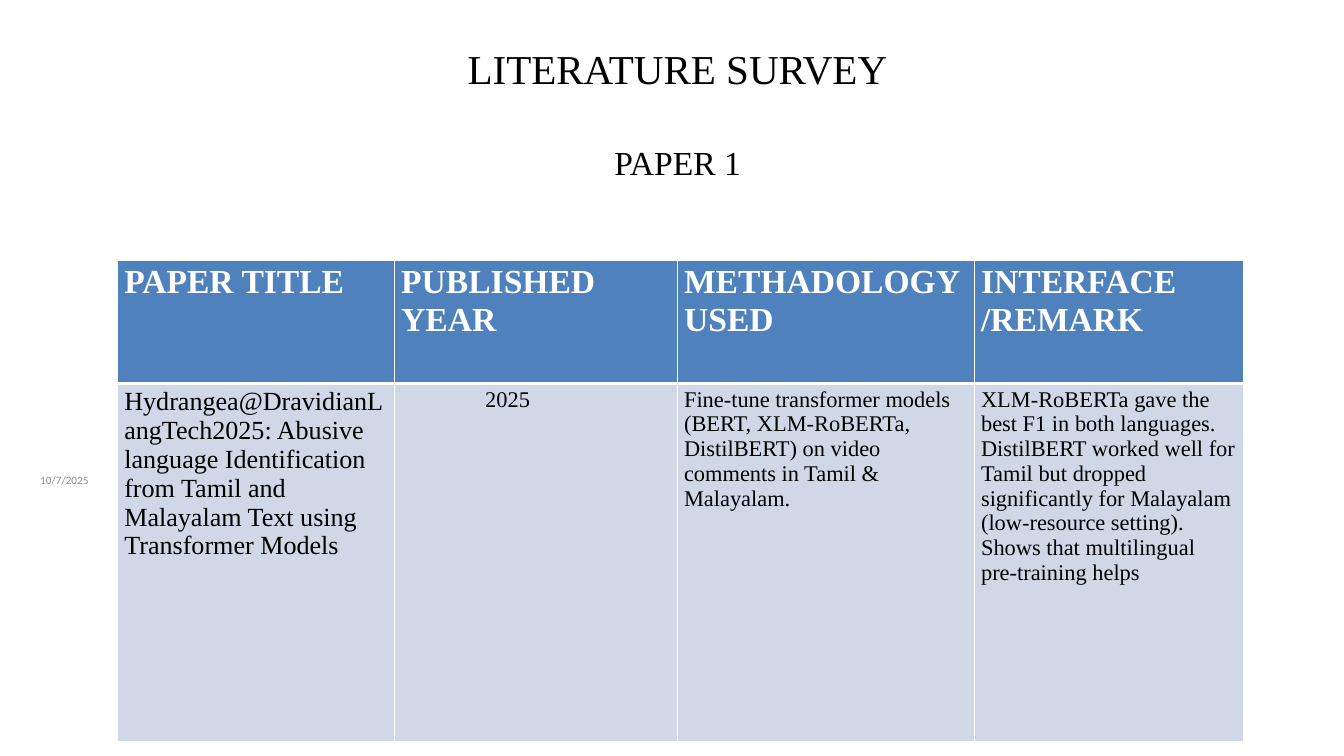
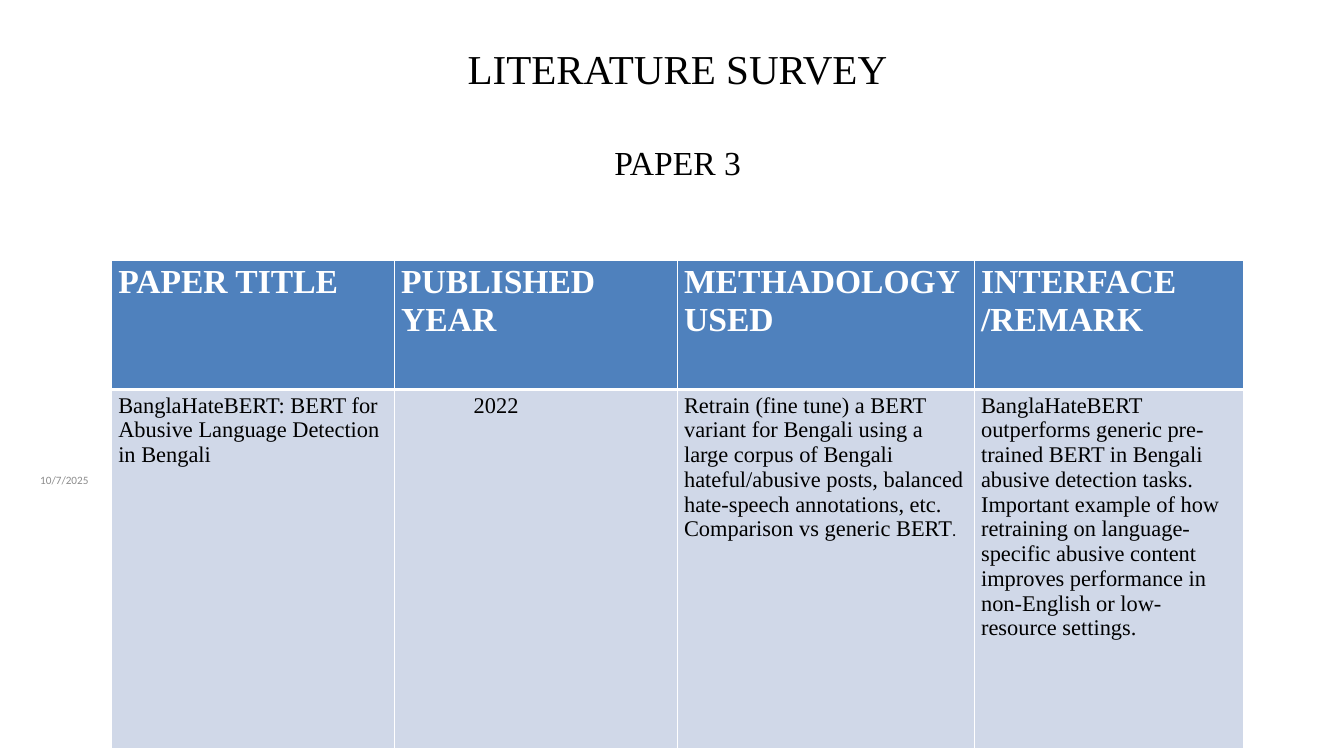
from lxml import etree
from pptx import Presentation
from pptx.dml.color import RGBColor
from pptx.enum import text as t
from pptx.oxml import ns
from pptx.util import Inches, Pt

SERIF, SANS = "Times New Roman", "Calibri"
BLACK, WHITE, GREY = "000000", "FFFFFF", "8C8C8C"
HEADER_FILL, BODY_FILL = "4F81BD", "D0D8E8"

HEADING = "LITERATURE SURVEY"
DATE = "10/7/2025"
COLUMNS = ["PAPER TITLE", "PUBLISHED YEAR", "METHADOLOGY USED", "INTERFACE /REMARK"]
SHARED_WIDTHS = [4.21, 4.42, 4]
TABLE_RIGHT, TABLE_TOP, BODY_HEIGHT = 18.5, 3.88, 5.33

PAPERS = [
    {
        "label": "PAPER 1",
        "title": "Hydrangea@DravidianLangTech2025: Abusive language Identification "
                 "from Tamil and Malayalam Text using Transformer Models",
        "title_size": 28,
        "year": "2025",
        "year_indent": 1.35,
        "method": [("Fine-tune transformer models (BERT, XLM-RoBERTa, DistilBERT) on "
                    "video comments in Tamil & Malayalam.", {})],
        "remark": "XLM-RoBERTa gave the best F1 in both languages. DistilBERT worked well "
                  "for Tamil but dropped significantly for Malayalam (low-resource "
                  "setting). Shows that multilingual pre-training helps",
        "title_width": 4.12,
        "header_height": 1.83,
    },
    {
        "label": "PAPER 3",
        "title": "BanglaHateBERT: BERT for Abusive Language Detection in Bengali",
        "title_size": 24,
        "year": "2022",
        "year_indent": 1.18,
        "method": [("Retrain (fine tune) a BERT variant for Bengali using a large corpus of "
                    "Bengali hateful/abusive posts, balanced hate-speech annotations, etc. "
                    "Comparison vs generic BERT", {}),
                   (".", {"size": 18, "font": SANS})],
        "remark": "BanglaHateBERT outperforms generic pre-trained BERT in Bengali abusive "
                  "detection tasks. Important example of how retraining on "
                  "language-specific abusive content improves performance in non-English "
                  "or low-resource settings.",
        "title_width": 4.21,
        "header_height": 1.92,
    },
]


def rgb(value):
    return RGBColor.from_string(value)


def write(paragraph, words, size=24, font=SERIF, color=BLACK, bold=False):
    run = paragraph.add_run()
    run.text = words
    run.font.size = Pt(size)
    run.font.name = font
    run.font.bold = bold
    run.font.color.rgb = rgb(color)


def add_frame(slide, left, top, width, height, anchor):
    box = slide.shapes.add_textbox(*map(Inches, (left, top, width, height)))
    frame = box.text_frame
    frame.word_wrap = True
    frame.vertical_anchor = anchor
    return frame


def add_heading(slide, label):
    frame = add_frame(slide, 1.67, 0.3, 16.83, 3.32, t.MSO_ANCHOR.TOP)
    frame.margin_top = Inches(0.34)
    survey, paper = frame.paragraphs[0], frame.add_paragraph()
    survey.alignment = paper.alignment = t.PP_ALIGN.CENTER
    paper.space_before = Pt(53)
    write(survey, HEADING, size=44)
    write(paper, label, size=36)


def add_date(slide):
    frame = add_frame(slide, 0.5, 6.95, 2.33, 0.4, t.MSO_ANCHOR.MIDDLE)
    write(frame.paragraphs[0], DATE, size=12, font=SANS, color=GREY)


def style_cell(cell, fill, borders):
    properties = cell._tc.get_or_add_tcPr()
    for side, width in borders.items():
        line = etree.SubElement(properties, ns.qn("a:ln" + side), w=str(Pt(width)))
        solid = etree.SubElement(line, ns.qn("a:solidFill"))
        etree.SubElement(solid, ns.qn("a:srgbClr"), val=WHITE)
    cell.fill.solid()
    cell.fill.fore_color.rgb = rgb(fill)


def add_survey_table(slide, paper):
    widths = [paper["title_width"], *SHARED_WIDTHS]
    heights = [paper["header_height"], BODY_HEIGHT]
    total = sum(widths)
    table = slide.shapes.add_table(
        len(heights), len(widths), Inches(TABLE_RIGHT - total), Inches(TABLE_TOP),
        Inches(total), Inches(sum(heights))).table
    for column, width in zip(table.columns, widths):
        column.width = Inches(width)
    for row, height in zip(table.rows, heights):
        row.height = Inches(height)

    body = [
        [(paper["title"], {"size": paper["title_size"]})],
        [(paper["year"], {})],
        paper["method"],
        [(paper["remark"], {})],
    ]
    for i, (name, pieces) in enumerate(zip(COLUMNS, body)):
        header, entry = table.cell(0, i), table.cell(1, i)
        style_cell(header, HEADER_FILL, {"L": 1, "R": 1, "T": 1, "B": 3})
        style_cell(entry, BODY_FILL, {"L": 1, "R": 1, "T": 3, "B": 1})
        write(header.text_frame.paragraphs[0], name, size=36, color=WHITE, bold=True)
        for words, style in pieces:
            write(entry.text_frame.paragraphs[0], words, **style)
    table.cell(1, 1).margin_left = Inches(paper["year_indent"])


def main():
    deck = Presentation()
    deck.slide_width, deck.slide_height = Inches(20), Inches(11.25)
    for paper in PAPERS:
        slide = deck.slides.add_slide(deck.slide_layouts[6])
        add_heading(slide, paper["label"])
        add_date(slide)
        add_survey_table(slide, paper)
    deck.save("out.pptx")


if __name__ == "__main__":
    main()
